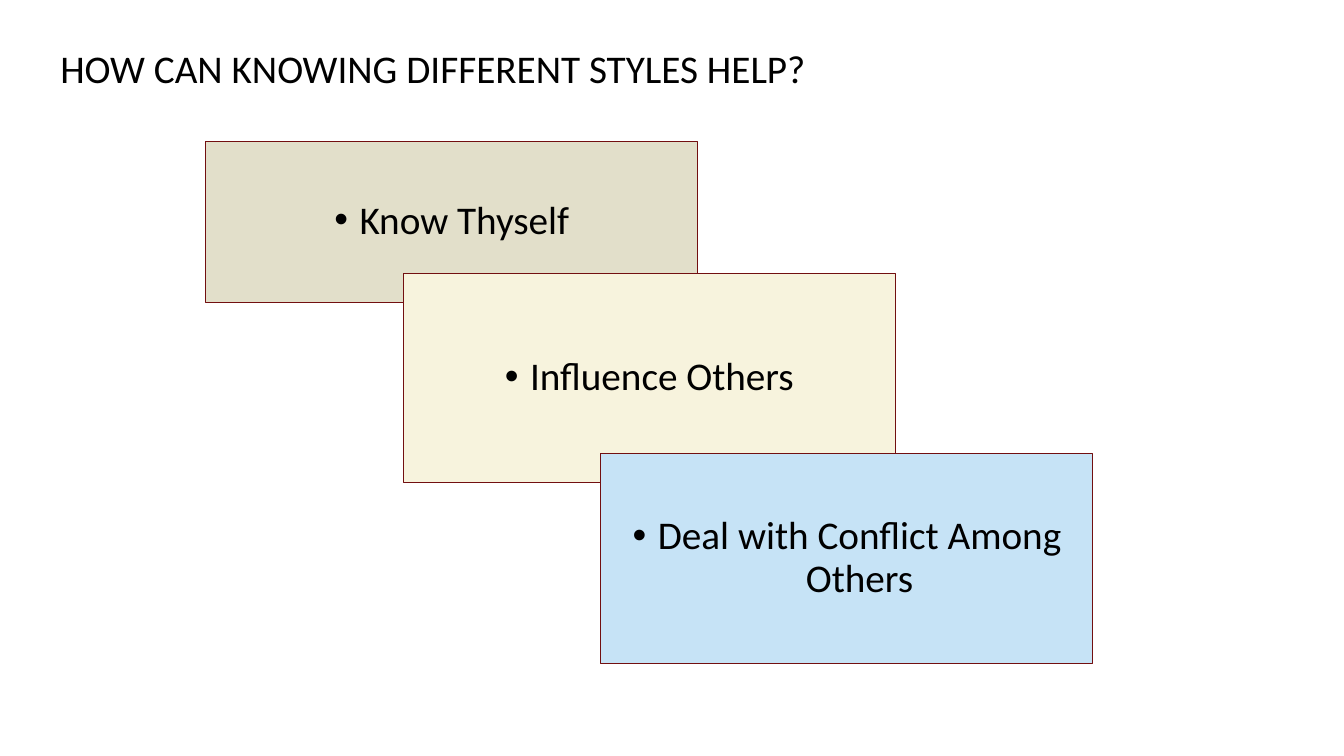
"""Build the slide on how knowing different styles helps."""
import dataclasses

import lxml.etree
import pptx
import pptx.dml.color
import pptx.enum.shapes
import pptx.enum.text
import pptx.oxml.ns
import pptx.util

EMU_PER_PX = 9144


@dataclasses.dataclass(frozen=True)
class Theme:
    """Colours, font and type sizes of the slide."""
    font: str = "Calibri"
    text: str = "000000"
    outline: str = "720F10"
    sand: str = "E2DFCA"
    cream: str = "F7F3DD"
    sky: str = "C6E3F6"
    text_size: int = 28
    space_before: int = 10
    line_spacing: float = 0.9
    outline_width: float = 0.75


THEME = Theme()


def px(length):
    """Turn pixels into EMU."""
    return pptx.util.Emu(length * EMU_PER_PX)


def colour(value):
    """Turn a hex string into a colour."""
    return pptx.dml.color.RGBColor.from_string(value)


def write_text(shape, text):
    """Write one vertically centred line of text and return its paragraph."""
    frame = shape.text_frame
    frame.word_wrap = True
    frame.vertical_anchor = pptx.enum.text.MSO_ANCHOR.MIDDLE
    paragraph = frame.paragraphs[0]
    paragraph.line_spacing = THEME.line_spacing
    run = paragraph.add_run()
    run.text = text
    run.font.name = THEME.font
    run.font.size = pptx.util.Pt(THEME.text_size)
    run.font.color.rgb = colour(THEME.text)
    return paragraph


def add_bullet(paragraph, indent):
    """Give a paragraph a round bullet with a hanging indent."""
    properties = paragraph._p.get_or_add_pPr()
    properties.set("marL", str(px(indent)))
    properties.set("indent", str(-px(indent)))
    for tag, attribute, value in (("a:buFont", "typeface", "Arial"), ("a:buChar", "char", "•")):
        bullet = lxml.etree.SubElement(properties, pptx.oxml.ns.qn(tag))
        bullet.set(attribute, value)


def add_title(slide, text, left, top, width, height):
    """Add the slide heading."""
    title = slide.shapes.add_textbox(px(left), px(top), px(width), px(height))
    write_text(title, text).alignment = pptx.enum.text.PP_ALIGN.LEFT


def add_card(slide, text, fill, left, top, width, height):
    """Add a filled card with one centred bullet point."""
    card = slide.shapes.add_shape(
        pptx.enum.shapes.MSO_SHAPE.RECTANGLE, px(left), px(top), px(width), px(height))
    card.shadow.inherit = False
    card.fill.solid()
    card.fill.fore_color.rgb = colour(fill)
    card.line.color.rgb = colour(THEME.outline)
    card.line.width = pptx.util.Pt(THEME.outline_width)
    paragraph = write_text(card, text)
    paragraph.alignment = pptx.enum.text.PP_ALIGN.CENTER
    paragraph.space_before = pptx.util.Pt(THEME.space_before)
    add_bullet(paragraph, 25)


def add_staircase(slide, cards, left, top, width, step, overlap):
    """Add cards that step rightwards, each overlapping the one above."""
    for text, fill, height in cards:
        add_card(slide, text, fill, left, top, width, height)
        left += step
        top += height - overlap


def main():
    """Build and save the presentation."""
    presentation = pptx.Presentation()
    presentation.slide_width = px(1333)
    presentation.slide_height = px(750)
    slide = presentation.slides.add_slide(presentation.slide_layouts[6])
    add_title(slide, "HOW CAN KNOWING DIFFERENT STYLES HELP?", 50, 33, 1233, 74)
    cards = (
        ("Know Thyself", THEME.sand, 160),
        ("Influence Others", THEME.cream, 208),
        ("Deal with Conflict Among Others", THEME.sky, 208),
    )
    add_staircase(slide, cards, left=204, top=140, width=488, step=196, overlap=29)
    presentation.save("out.pptx")


if __name__ == "__main__":
    main()
